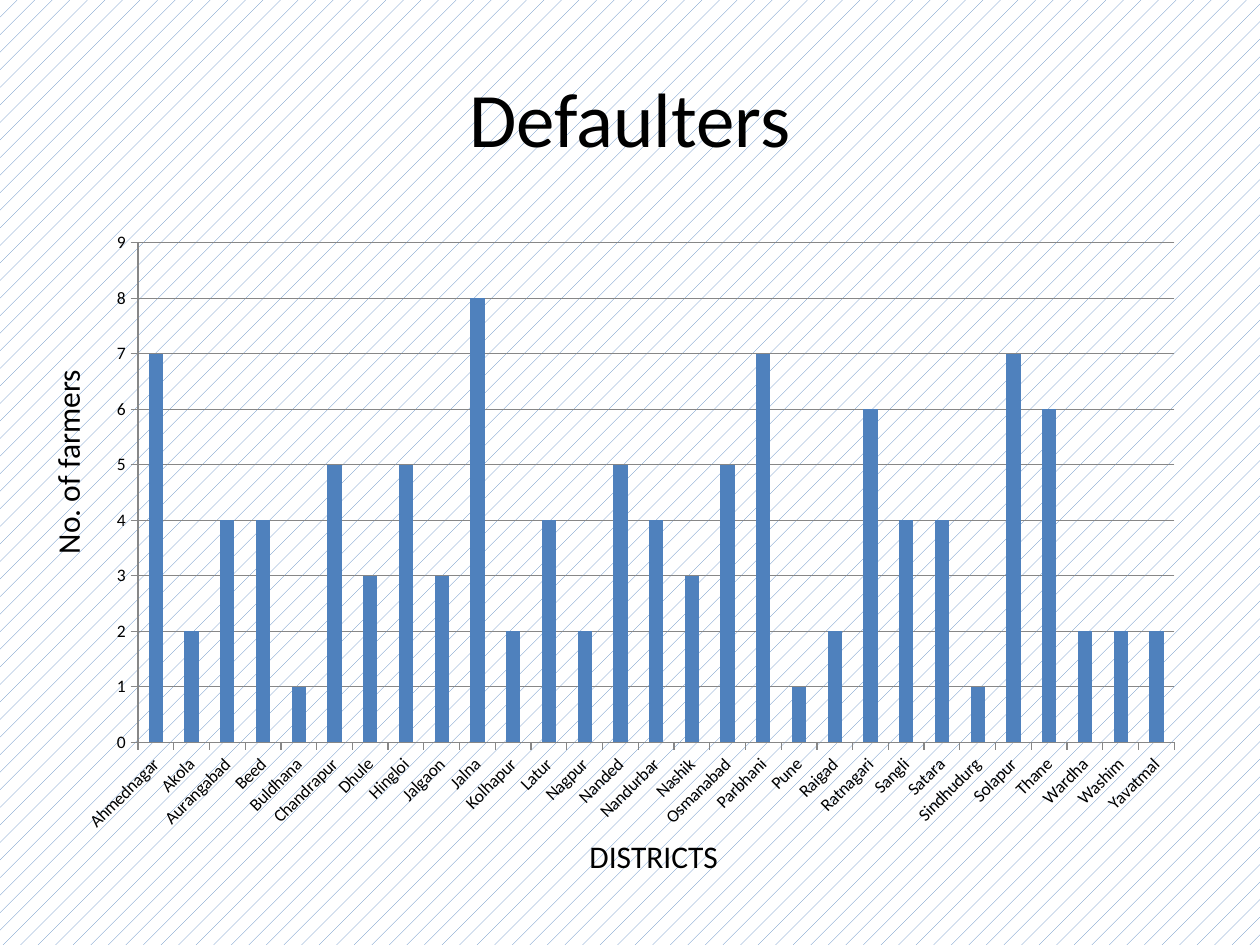
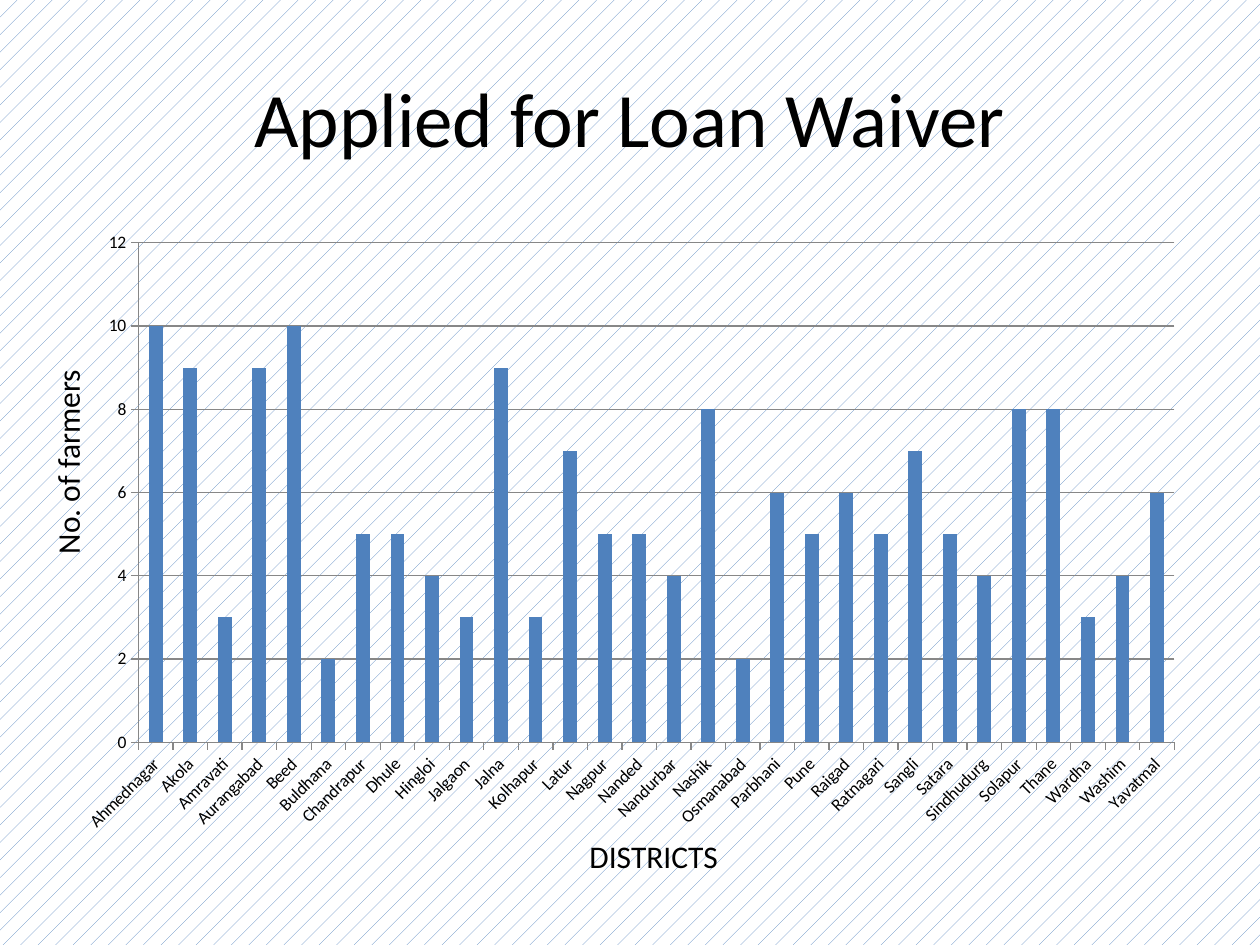
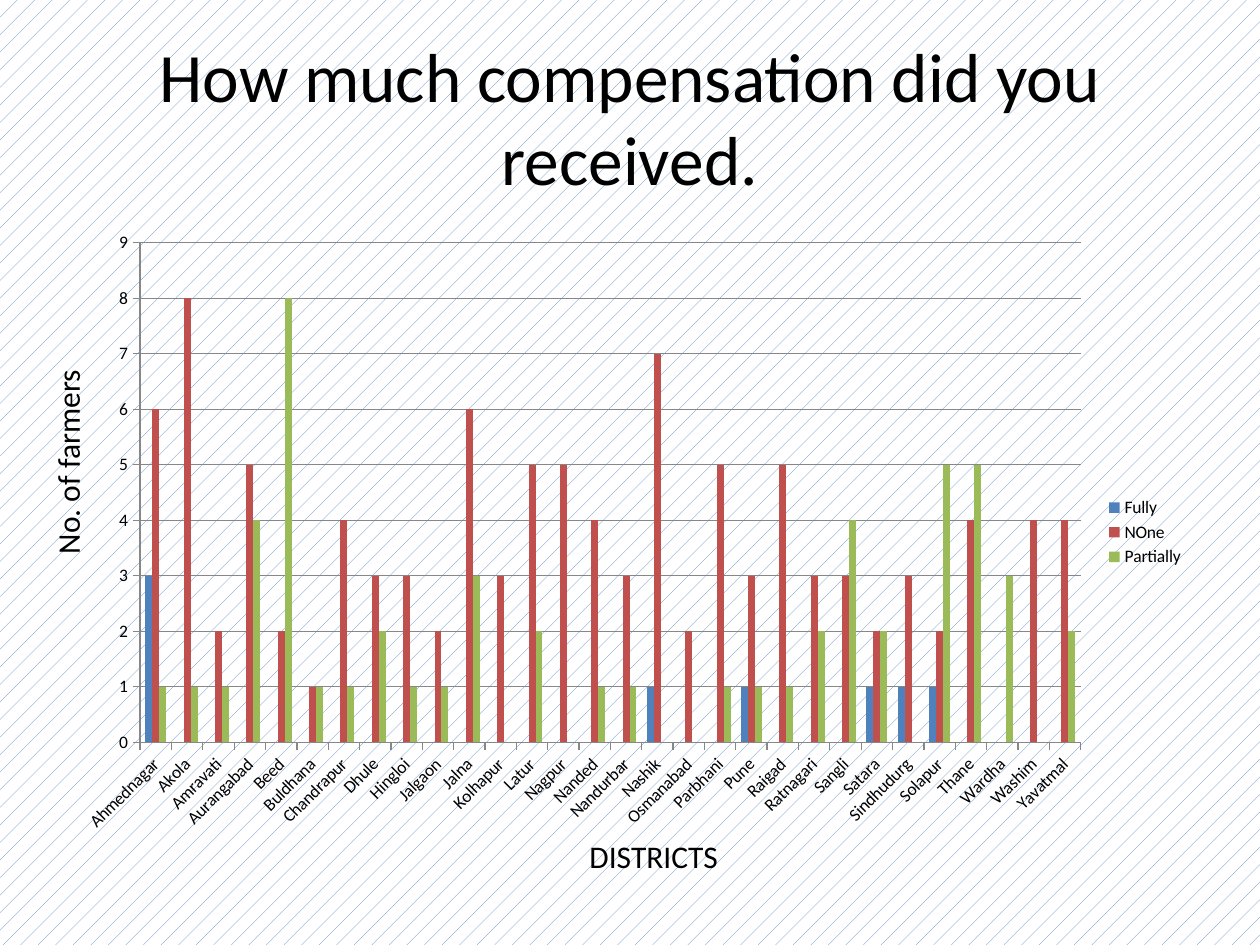
from pptx import Presentation
from pptx.chart.data import CategoryChartData
from pptx.dml.color import RGBColor
from pptx.enum import chart as ch, dml, text as tx
from pptx.util import Pt

COLORS = {"text": "000000", "paper": "FFFFFF", "axis": "878787",
          "blue": "4F81BD", "red": "C0504D", "green": "9BBB59"}
SERIES_COLORS = ("blue", "red", "green")
FONT = "Calibri"
DISTRICTS = [
    "Ahmednagar", "Akola", "Amravati", "Aurangabad", "Beed", "Buldhana",
    "Chandrapur", "Dhule", "Hingloi", "Jalgaon", "Jalna", "Kolhapur", "Latur",
    "Nagpur", "Nanded", "Nandurbar", "Nashik", "Osmanabad", "Parbhani", "Pune",
    "Raigad", "Ratnagari", "Sangli", "Satara", "Sindhudurg", "Solapur",
    "Thane", "Wardha", "Washim", "Yavatmal"]

DEFAULTERS = [7, 2, 4, 4, 1, 5, 3, 5, 3, 8, 2, 4, 2, 5, 4, 3, 5, 7, 1, 2,
              6, 4, 4, 1, 7, 6, 2, 2, 2]
APPLICANTS = [10, 9, 3, 9, 10, 2, 5, 5, 4, 3, 9, 3, 7, 5, 5, 4, 8, 2, 6, 5,
              6, 5, 7, 5, 4, 8, 8, 3, 4, 6]
FULLY = {"Ahmednagar": 3, "Nashik": 1, "Pune": 1, "Satara": 1,
         "Sindhudurg": 1, "Solapur": 1}
COMPENSATION = {
    "Fully": [FULLY.get(district) for district in DISTRICTS],
    "NOne": [6, 8, 2, 5, 2, 1, 4, 3, 3, 2, 6, 3, 5, 5, 4, 3, 7, 2, 5, 3,
             5, 3, 3, 2, 3, 2, 4, None, 4, 4],
    "Partially": [1, 1, 1, 4, 8, 1, 1, 2, 1, 1, 3, None, 2, None, 1, 1, None,
                  None, 1, 1, 1, 2, 4, 2, None, 5, 5, 3, None, 2]}


def rgb(name):
    return RGBColor.from_string(COLORS[name])


def style_font(font, size, color="text"):
    font.name = FONT
    font.size = Pt(size)
    font.color.rgb = rgb(color)


def write(frame, words, size=18, align=None, anchor=None,
          autosize=tx.MSO_AUTO_SIZE.NONE):
    frame.word_wrap = True
    frame.auto_size = autosize
    if anchor is not None:
        frame.vertical_anchor = anchor
    paragraph = frame.paragraphs[0]
    paragraph.alignment = align
    run = paragraph.add_run()
    run.text = words
    style_font(run.font, size)


class Deck:
    def __init__(self):
        self.prs = Presentation()
        self.prs.slide_width, self.prs.slide_height = Pt(720), Pt(540)
        self.slide = None

    def new_slide(self):
        self.slide = self.prs.slides.add_slide(self.prs.slide_layouts[5])
        fill = self.slide.background.fill
        fill.patterned()
        fill.pattern = dml.MSO_PATTERN.PERCENT_5
        fill.fore_color.rgb = rgb("blue")
        fill.back_color.rgb = rgb("paper")

    def title(self, words, size):
        title = self.slide.shapes.title
        title.left, title.top = Pt(36), Pt(21.6)
        title.width, title.height = Pt(648), Pt(90)
        write(title.text_frame, words, size=size, align=tx.PP_ALIGN.CENTER,
              anchor=tx.MSO_ANCHOR.MIDDLE)

    def label(self, words, left, top, width, rotation=0):
        label = self.slide.shapes.add_textbox(Pt(left), Pt(top), Pt(width), Pt(28.8))
        label.rotation = rotation
        write(label.text_frame, words, autosize=tx.MSO_AUTO_SIZE.SHAPE_TO_FIT_TEXT)

    def column_chart(self, districts, series):
        data = CategoryChartData()
        data.categories = districts
        for name, values in series.items():
            data.add_series(name, values)
        chart = self.slide.shapes.add_chart(
            ch.XL_CHART_TYPE.COLUMN_CLUSTERED,
            Pt(36), Pt(126), Pt(648), Pt(356.4), data).chart
        style_font(chart.font, 10)
        chart.has_title = False
        chart.has_legend = len(series) > 1
        if chart.has_legend:
            chart.legend.position = ch.XL_LEGEND_POSITION.RIGHT
            chart.legend.include_in_layout = False

        plot = chart.plots[0]
        plot.vary_by_categories = False
        plot.gap_width, plot.overlap = 150, 0
        for columns, color in zip(plot.series, SERIES_COLORS):
            columns.format.fill.solid()
            columns.format.fill.fore_color.rgb = rgb(color)

        chart.value_axis.has_major_gridlines = True
        for part in (chart.category_axis, chart.value_axis,
                     chart.value_axis.major_gridlines):
            part.format.line.color.rgb = rgb("axis")
            part.format.line.width = Pt(0.75)

    def survey_slide(self, title, districts, series, title_size=44):
        self.new_slide()
        self.title(title, title_size)
        self.column_chart(districts, series)
        self.label("No. of farmers", -21.6, 249.12, 120.24, rotation=270)
        self.label("DISTRICTS", 329.76, 474.48, 162)


def main():
    deck = Deck()
    deck.survey_slide("Defaulters", [d for d in DISTRICTS if d != "Amravati"],
                      {"Series 1": DEFAULTERS})
    deck.survey_slide("Applied for Loan Waiver", DISTRICTS, {"Series 1": APPLICANTS})
    deck.survey_slide("How much compensation did you received.", DISTRICTS,
                      COMPENSATION, title_size=39.6)
    deck.prs.save("out.pptx")


if __name__ == "__main__":
    main()
